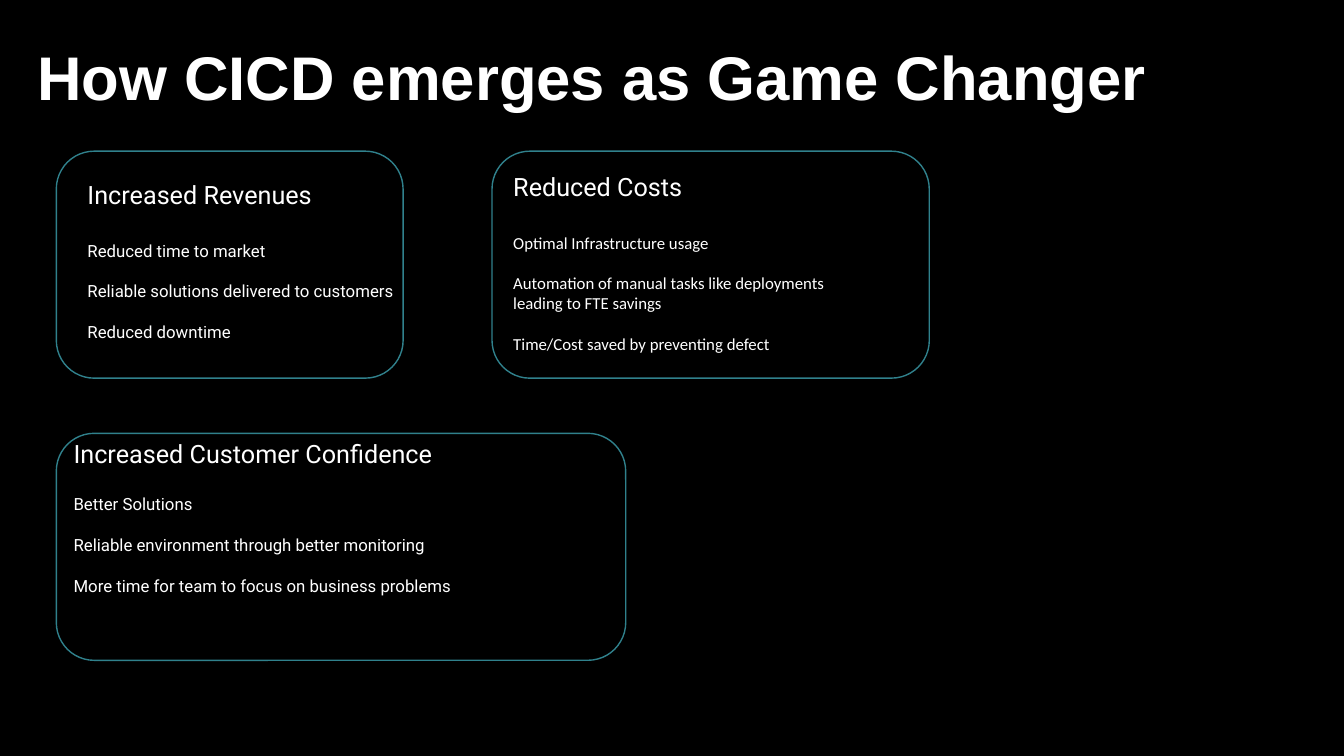
from collections import namedtuple

from lxml import etree
from pptx import Presentation
from pptx import util as u
from pptx.dml import color
from pptx.enum import shapes, text
from pptx.oxml import ns

COLORS = {"background": "000000", "text": "FFFFFF", "outline": "30818C"}
HEADING_SIZE, ITEM_SIZE = 18, 12
HEADING_GAP, ITEM_GAP = 22, 14.65

Box = namedtuple("Box", "left top width height")


def rgb(name):
    return color.RGBColor.from_string(COLORS[name])


def inside(box, left, top, width, height):
    """Box whose corner is offset from the corner of another box."""
    return Box(box.left + left, box.top + top, width, height)


def place(shape, box):
    shape.left, shape.top, shape.width, shape.height = (u.Cm(n) for n in box)


def prepare_frame(placeholder, box):
    place(placeholder, box)
    frame = placeholder.text_frame
    frame.word_wrap = True
    frame.auto_size = text.MSO_AUTO_SIZE.NONE
    frame.vertical_anchor = text.MSO_ANCHOR.TOP
    return frame


def write(frame, content, size=ITEM_SIZE, font="Roboto", bold=False, before=0):
    """Add one unbulleted paragraph, filling the empty first one if there is one."""
    paragraph = frame.paragraphs[-1]
    if paragraph.runs:
        paragraph = frame.add_paragraph()
    paragraph.alignment = text.PP_ALIGN.LEFT
    paragraph.line_spacing = 1.0
    paragraph.space_before = u.Pt(before)
    paragraph.space_after = u.Pt(0)
    properties = paragraph._p.get_or_add_pPr()
    properties.set("marL", "0")
    properties.set("indent", "0")
    etree.SubElement(properties, ns.qn("a:buNone"))
    run = paragraph.add_run()
    run.text = content
    run.font.size = u.Pt(size)
    run.font.name = font
    run.font.bold = bold
    run.font.color.rgb = rgb("text")


def write_items(frame, items, font="Roboto", first_gap=0):
    for index, item in enumerate(items):
        write(frame, item, font=font, before=ITEM_GAP if index else first_gap)


def add_title(slide, box):
    frame = prepare_frame(slide.shapes.title, box)
    write(frame, "How CICD emerges as Game Changer", size=44, font="Arial", bold=True)


def add_outline(slide, box):
    outline = slide.shapes.add_shape(shapes.MSO_SHAPE.ROUNDED_RECTANGLE, 0, 0, 0, 0)
    place(outline, box)
    outline.shadow.inherit = False
    outline.fill.background()
    outline.line.color.rgb = rgb("outline")
    outline.line.width = u.Pt(1)


def add_card(slide, box, placeholder, text_box, heading, items, font="Roboto"):
    """Outlined card with heading and items in one text block."""
    add_outline(slide, box)
    frame = prepare_frame(placeholder, inside(box, *text_box))
    write(frame, heading, size=HEADING_SIZE)
    write_items(frame, items, font=font, first_gap=HEADING_GAP)


def add_split_card(slide, box, heading_holder, list_holder, heading, items):
    """Outlined card whose heading and items are separate blocks."""
    add_outline(slide, box)
    frame = prepare_frame(heading_holder, inside(box, 0.18, 0, 10.77, 1.02))
    write(frame, heading, size=HEADING_SIZE)
    frame = prepare_frame(list_holder, inside(box, 0.18, 1.4, 16.94, 2.82))
    write_items(frame, items)


def main():
    presentation = Presentation()
    presentation.slide_width, presentation.slide_height = u.Cm(33.87), u.Cm(19.05)
    # The comparison layout holds a title and four text placeholders
    slide = presentation.slides.add_slide(presentation.slide_layouts[4])
    slide.background.fill.solid()
    slide.background.fill.fore_color.rgb = rgb("background")
    revenue, costs, confidence, confidence_list = list(slide.placeholders)[1:]

    # Title
    add_title(slide, Box(0.69, 0.86, 30, 2.13))

    # Upper row of cards
    left, top, height = 1.42, 3.81, 5.72
    add_card(slide, Box(left, top, 8.74, height), revenue, (0.53, 0.58, 8.51, 4.37),
             "Increased Revenues",
             ["Reduced time to market",
              "Reliable solutions delivered to customers",
              "Reduced downtime"])
    add_card(slide, Box(12.4, top, 11.02, height), costs, (0.28, 0.38, 9.14, 4.88),
             "Reduced Costs",
             ["Optimal Infrastructure usage",
              "Automation of manual tasks like deployments leading to FTE savings",
              "Time/Cost saved by preventing defect"],
             font="Calibri")

    # Lower card
    add_split_card(slide, Box(left, 10.92, 14.35, height), confidence, confidence_list,
                   "Increased Customer Confidence",
                   ["Better Solutions",
                    "Reliable environment through better monitoring",
                    "More time for team to focus on business problems"])

    presentation.save("out.pptx")


if __name__ == "__main__":
    main()
